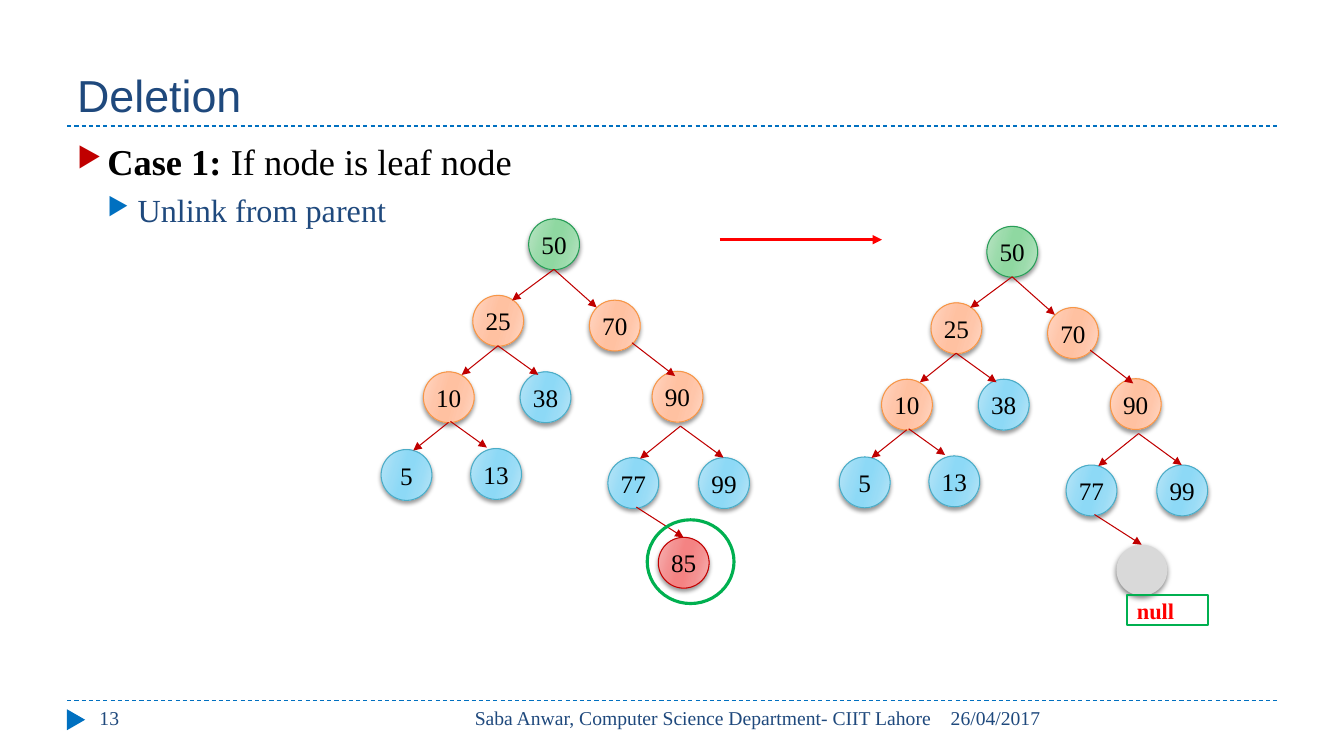
from dataclasses import dataclass

from lxml.etree import SubElement
from pptx import Presentation
from pptx.dml.color import RGBColor
from pptx.enum.dml import MSO_LINE
from pptx.enum.shapes import MSO_CONNECTOR, MSO_SHAPE as Preset
from pptx.enum.text import MSO_ANCHOR as Anchor, PP_ALIGN as Align
from pptx.oxml.ns import qn
from pptx.util import Pt


@dataclass(frozen=True)
class Theme:
    heading: str = "Arial"
    body: str = "Times New Roman"
    navy: str = "1F497D"
    blue: str = "0070C0"
    crimson: str = "C00000"
    red: str = "FF0000"
    green: str = "00B050"
    black: str = "000000"
    grey: str = "D9D9D9"
    title_size: int = 32
    point_size: int = 26
    subpoint_size: int = 23
    node_size: int = 18
    null_size: int = 16
    footer_size: int = 14


THEME = Theme()

# Outline, then the gradient from the rim to the middle
ROOT = ("279D57", "BBE4C5", "9BDBAB", "8FD8A1")
INNER = ("F79646", "FFD7C5", "FFC6AA", "FFC1A1")
LEAF = ("4BACC6", "B9E5F7", "99DCF6", "8DD9F6")
DELETED = ("C00000", "F6B4B4", "F49090", "F48383")
GRADIENT_STOPS = ((0, 1), (30, 2), (45, 3), (55, 3), (73, 2), (100, 1))

NODE_DIAMETER = 36.3
NODES = (
    ("50", 377.6, 156.4, ROOT),
    ("25", 337.7, 211, INNER),
    ("70", 421, 214.4, INNER),
    ("10", 302.4, 265.6, INNER),
    ("38", 371.5, 265.6, LEAF),
    ("90", 465.8, 265.2, INNER),
    ("5", 272.2, 321.1, LEAF),
    ("13", 336.2, 320.4, LEAF),
    ("77", 434.2, 326.9, LEAF),
    ("99", 499, 326.9, LEAF),
)
LAST_CHILD = (470.2, 383.8)
EDGES = (
    ((395.7, 192.4), (365.8, 214.6)),
    ((395.7, 192.4), (426.2, 219.6)),
    ((355.7, 247), (329.8, 267.8)),
    ((355.7, 247), (384.5, 267.8)),
    ((451.4, 244.8), (482.2, 268.6)),
    ((320.4, 301.7), (295.2, 321.8)),
    ((321.8, 301), (347.8, 319.7)),
    ((486, 304.4), (457.2, 327.6)),
    ((486, 304.4), (516.8, 326.9)),
    ((454.5, 362.2), (488.2, 383.8)),
)
RESULT_SHIFT = (327.3, 5.3)


def color(code):
    return RGBColor.from_string(code)


def style_font(font, size, code, name=THEME.body, bold=None):
    font.name, font.size, font.bold = name, Pt(size), bold
    font.color.rgb = color(code)


def add_text(slide, box, text, size, code, name=THEME.body,
             align=Align.LEFT, anchor=Anchor.TOP):
    frame = slide.shapes.add_textbox(*map(Pt, box)).text_frame
    frame.word_wrap = True
    frame.vertical_anchor = anchor
    paragraph = frame.paragraphs[0]
    paragraph.text = text
    paragraph.alignment = align
    style_font(paragraph.font, size, code, name)
    return frame


def add_line(slide, start, end, code, width, dashed=False, arrow=False):
    connector = slide.shapes.add_connector(
        MSO_CONNECTOR.STRAIGHT, *map(Pt, (*start, *end)))
    line = connector.line
    line.color.rgb = color(code)
    line.width = Pt(width)
    if dashed:
        line.dash_style = MSO_LINE.DASH
    properties = connector.element.spPr
    if arrow:
        SubElement(properties.find(qn("a:ln")), qn("a:tailEnd"), type="triangle")
    SubElement(properties, qn("a:effectLst"))


def add_shape(slide, preset, box, fill=None, outline=None, width=0.75):
    shape = slide.shapes.add_shape(preset, *map(Pt, box))
    shape.shadow.inherit = False
    if fill:
        shape.fill.solid()
        shape.fill.fore_color.rgb = color(fill)
    else:
        shape.fill.background()
    if outline:
        shape.line.color.rgb = color(outline)
        shape.line.width = Pt(width)
    else:
        shape.line.fill.background()
    return shape


def add_shadow(shape, opacity, blur, distance):
    effects = shape.element.spPr.find(qn("a:effectLst"))
    shadow = SubElement(effects, qn("a:outerShdw"), blurRad=str(Pt(blur)),
                        dist=str(Pt(distance)), dir="5400000", rotWithShape="0")
    shade = SubElement(shadow, qn("a:srgbClr"), val=THEME.black)
    SubElement(shade, qn("a:alpha"), val=str(opacity * 1000))


def fill_gradient(shape, palette):
    shape.fill.gradient()
    shape.fill.gradient_angle = 344
    stops = shape.element.spPr.find(qn("a:gradFill")).find(qn("a:gsLst"))
    for stop in list(stops):
        stops.remove(stop)
    for position, shade in GRADIENT_STOPS:
        stop = SubElement(stops, qn("a:gs"), pos=str(position * 1000))
        SubElement(stop, qn("a:srgbClr"), val=palette[shade])


def add_node(slide, label, left, top, palette):
    box = (left, top, NODE_DIAMETER, NODE_DIAMETER)
    node = add_shape(slide, Preset.OVAL, box, outline=palette[0])
    fill_gradient(node, palette)
    add_shadow(node, 40, 3, 2)
    frame = node.text_frame
    frame.margin_left = frame.margin_right = 0
    frame.vertical_anchor = Anchor.MIDDLE
    paragraph = frame.paragraphs[0]
    paragraph.text = label
    paragraph.alignment = Align.CENTER
    style_font(paragraph.font, THEME.node_size, THEME.black)


def add_tree(slide, shift_x=0, shift_y=0):
    """Draw the nodes and arrows that both trees share."""
    for label, left, top, palette in NODES:
        add_node(slide, label, left + shift_x, top + shift_y, palette)
    for edge in EDGES:
        start, end = ((x + shift_x, y + shift_y) for x, y in edge)
        add_line(slide, start, end, THEME.crimson, 0.75, arrow=True)


def set_bullet(paragraph, code, indent):
    properties = paragraph._p.get_or_add_pPr()
    properties.set("marL", str(Pt(indent)))
    properties.set("indent", str(Pt(-21.6)))
    bullet_color = SubElement(properties, qn("a:buClr"))
    SubElement(bullet_color, qn("a:srgbClr"), val=code)
    SubElement(properties, qn("a:buSzPct"), val="76000")
    SubElement(properties, qn("a:buChar"), char="▶")


def add_points(slide):
    frame = add_text(slide, (48, 96, 864, 389), "Case 1: ",
                     THEME.point_size, THEME.black)
    point = frame.paragraphs[0]
    set_bullet(point, THEME.crimson, 21.6)
    point.runs[0].font.bold = True
    point.add_run().text = "If node is leaf node"
    subpoint = frame.add_paragraph()
    subpoint.text = "Unlink from parent"
    subpoint.level = 1
    subpoint.space_before = Pt(5)
    set_bullet(subpoint, THEME.blue, 43.2)
    style_font(subpoint.font, THEME.subpoint_size, THEME.navy)


def add_footer(slide):
    marker = add_shape(slide, Preset.ISOSCELES_TRIANGLE,
                       (46.8, 507.6, 15, 13), fill=THEME.blue)
    marker.rotation = 90
    for text, left, width, align in (
            ("13", 64, 208, Align.LEFT),
            ("Saba Anwar, Computer Science Department- CIIT Lahore",
             304.5, 368, Align.RIGHT),
            ("26/04/2017", 672, 240, Align.LEFT)):
        add_text(slide, (left, 500.4, width, 28.8), text,
                 THEME.footer_size, THEME.navy, align=align)


def add_null(slide):
    """Mark the empty place of the deleted node."""
    left, top = (a + b for a, b in zip(LAST_CHILD, RESULT_SHIFT))
    gap = add_shape(slide, Preset.OVAL,
                    (left, top, NODE_DIAMETER, NODE_DIAMETER), fill=THEME.grey)
    add_shadow(gap, 50, 4, 2)
    label = add_shape(slide, Preset.RECTANGLE, (805, 425, 57.6, 21.6),
                      outline=THEME.green, width=1.5)
    label.text_frame.vertical_anchor = Anchor.MIDDLE
    paragraph = label.text_frame.paragraphs[0]
    paragraph.text = "null"
    paragraph.alignment = Align.LEFT
    style_font(paragraph.font, THEME.null_size, THEME.red, bold=True)


def main():
    presentation = Presentation()
    presentation.slide_width, presentation.slide_height = Pt(960), Pt(540)
    slide = presentation.slides.add_slide(presentation.slide_layouts[6])
    for rule_y in (90, 500.4):
        add_line(slide, (48, rule_y), (912, rule_y), THEME.blue, 0.75, dashed=True)
    add_text(slide, (48, 12, 864, 78), "Deletion", THEME.title_size,
             THEME.navy, THEME.heading, anchor=Anchor.BOTTOM)
    add_footer(slide)
    add_points(slide)
    add_line(slide, (514, 171.2), (630, 171.2), THEME.red, 2.25, arrow=True)
    add_node(slide, "85", *LAST_CHILD, DELETED)
    add_tree(slide)
    add_null(slide)
    add_tree(slide, *RESULT_SHIFT)
    add_shape(slide, Preset.OVAL, (462.3, 371.3, 62, 59.8),
              outline=THEME.green, width=2.25)
    presentation.save("out.pptx")


if __name__ == "__main__":
    main()
